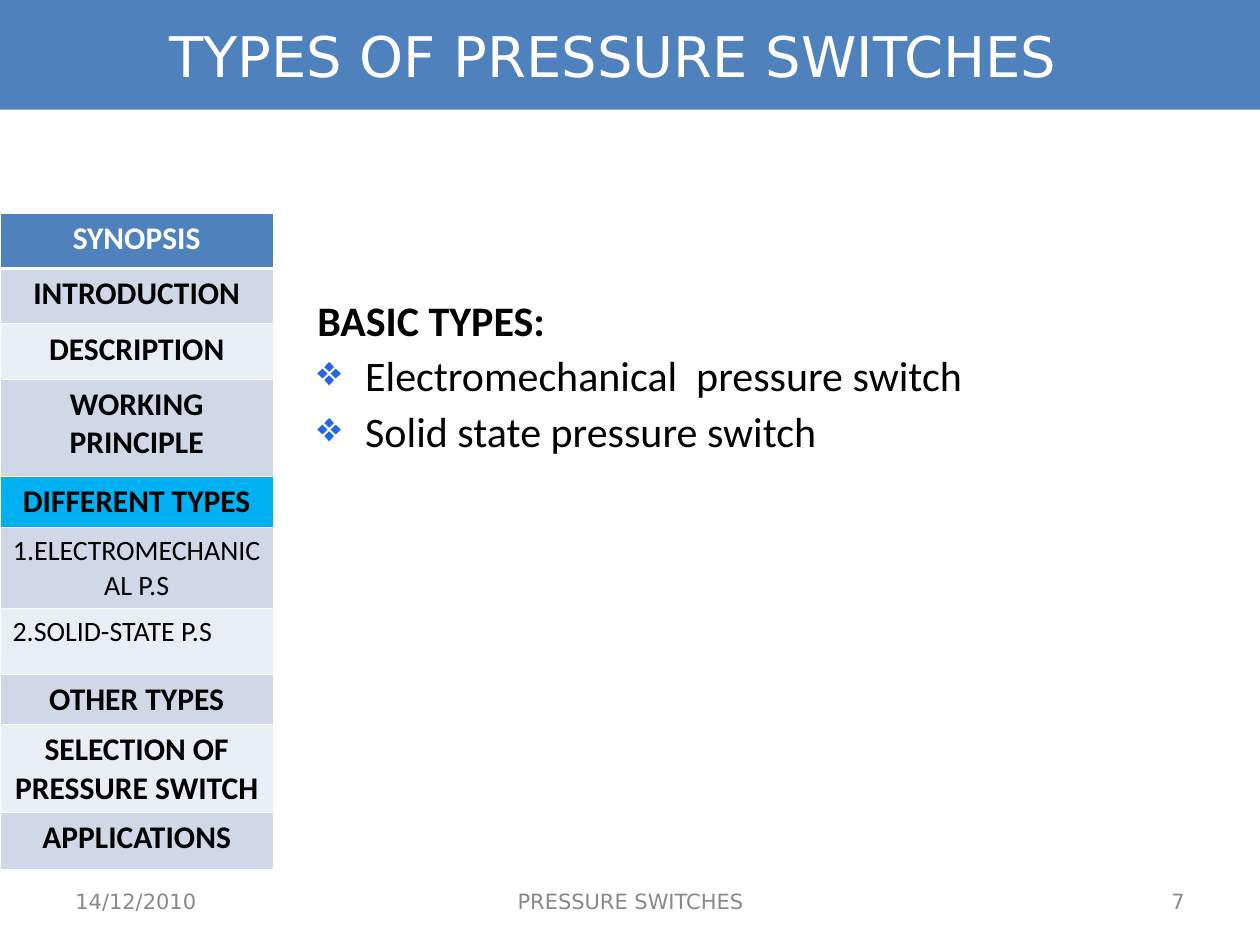
from lxml.etree import SubElement
from pptx import Presentation
from pptx.dml.color import RGBColor
from pptx.enum.shapes import MSO_SHAPE as Shape
from pptx.enum.text import MSO_ANCHOR as Anchor, PP_ALIGN as Align
from pptx.oxml import parse_xml
from pptx.oxml.ns import nsdecls, qn
from pptx.util import Inches, Pt

WHITE = RGBColor(0xFF, 0xFF, 0xFF)
BLACK = RGBColor(0, 0, 0)
GREY = RGBColor(0x89, 0x89, 0x89)
BLUE = RGBColor(0x4F, 0x81, 0xBD)
BRIGHT_BLUE = RGBColor(0x00, 0xB0, 0xF0)
BULLET_BLUE = RGBColor(0x25, 0x66, 0xE7)
DARK_BAND = RGBColor(0xD0, 0xD8, 0xE8)
LIGHT_BAND = RGBColor(0xE9, 0xED, 0xF4)


def write(para, text, color, align=Align.LEFT, **font_format):
    para.alignment = align
    span = para.add_run()
    span.text = text
    span.font.color.rgb = color
    for name, value in font_format.items():
        setattr(span.font, name, value)


def add_border(cell, side, width):
    """Draw a white line on one side (L, R, T or B), width in points."""
    line = SubElement(cell._tc.get_or_add_tcPr(), qn(f"a:ln{side}"), w=str(Pt(width)))
    fill = SubElement(line, qn("a:solidFill"))
    SubElement(fill, qn("a:srgbClr"), val=str(WHITE))


deck = Presentation()
deck.slide_width, deck.slide_height = Inches(10), Inches(7.5)
slide = deck.slides.add_slide(deck.slide_layouts[6])

# Basic types
body = slide.shapes.add_textbox(Inches(2.42), Inches(2.33), Inches(7.25), Inches(1.58))
frame = body.text_frame
frame.word_wrap = True
lines = ["BASIC TYPES:", "Electromechanical  pressure switch", "Solid state pressure switch"]
for index, text in enumerate(lines):
    para = frame.paragraphs[0] if index == 0 else frame.add_paragraph()
    para.line_spacing = 0.9
    if index:
        para.space_before = Pt(6)
        properties = para._p.get_or_add_pPr()
        properties.set("marL", str(Inches(0.38)))
        properties.set("indent", str(Inches(-0.38)))
        color = SubElement(properties, qn("a:buClr"))
        SubElement(color, qn("a:srgbClr"), val=str(BULLET_BLUE))
        SubElement(properties, qn("a:buChar"), char="❖")
    write(para, text, BLACK, name="Calibri", size=Pt(24), bold=index == 0)

# Footer
footer = [
    ("14/12/2010", 0.5, 2.33, Align.LEFT),
    ("7", 7.17, 2.33, Align.RIGHT),
    ("PRESSURE SWITCHES", 3.42, 3.17, Align.CENTER),
]
for text, left, width, align in footer:
    box = slide.shapes.add_textbox(Inches(left), Inches(6.95), Inches(width), Inches(0.4))
    box.text_frame.word_wrap = True
    box.text_frame.vertical_anchor = Anchor.MIDDLE
    write(box.text_frame.paragraphs[0], text, GREY, align, name="DejaVu Sans", size=Pt(12))

# Synopsis: text, row height, whether it is a sub-item
synopsis = [
    ("SYNOPSIS", 0.44, False),
    ("INTRODUCTION", 0.44, False),
    ("DESCRIPTION", 0.44, False),
    ("WORKING PRINCIPLE", 0.77, False),
    ("DIFFERENT TYPES", 0.41, False),
    ("1.ELECTROMECHANICAL P.S", 0.64, True),
    ("2.SOLID-STATE P.S", 0.52, True),
    ("OTHER TYPES", 0.4, False),
    ("SELECTION OF PRESSURE SWITCH", 0.7, False),
    ("APPLICATIONS", 0.45, False),
]
special_fills = {"SYNOPSIS": BLUE, "DIFFERENT TYPES": BRIGHT_BLUE}
table = slide.shapes.add_table(
    len(synopsis), 1, Inches(0), Inches(1.69), Inches(2.17), Inches(5.22)
).table
for index, (text, height, is_sub_item) in enumerate(synopsis):
    table.rows[index].height = Inches(height)
    cell = table.cell(index, 0)
    thick_side = {0: "B", 1: "T"}.get(index)
    for side in "LRTB":
        add_border(cell, side, 1.47 if side == thick_side else 0.45)
    cell.fill.solid()
    cell.fill.fore_color.rgb = special_fills.get(text, DARK_BAND if index % 2 else LIGHT_BAND)
    write(
        cell.text_frame.paragraphs[0],
        text,
        BLACK if index else WHITE,
        Align.LEFT if text.startswith("2.") else Align.CENTER,
        name="Calibri",
        size=Pt(16 if is_sub_item else 18),
        bold=not is_sub_item,
    )

# Title banner, with its text slightly left of centre
banner = slide.shapes.add_shape(Shape.RECTANGLE, Inches(0), Inches(0), Inches(10), Inches(0.87))
banner.shadow.inherit = False
banner.fill.solid()
banner.fill.fore_color.rgb = BLUE
banner.line.fill.background()
frame = banner.text_frame
frame.word_wrap = True
frame.vertical_anchor = Anchor.MIDDLE
frame.margin_right = Inches(0.36)
write(frame.paragraphs[0], "TYPES OF PRESSURE SWITCHES", WHITE, Align.CENTER,
      name="DejaVu Sans", size=Pt(32))

deck.save("out.pptx")
